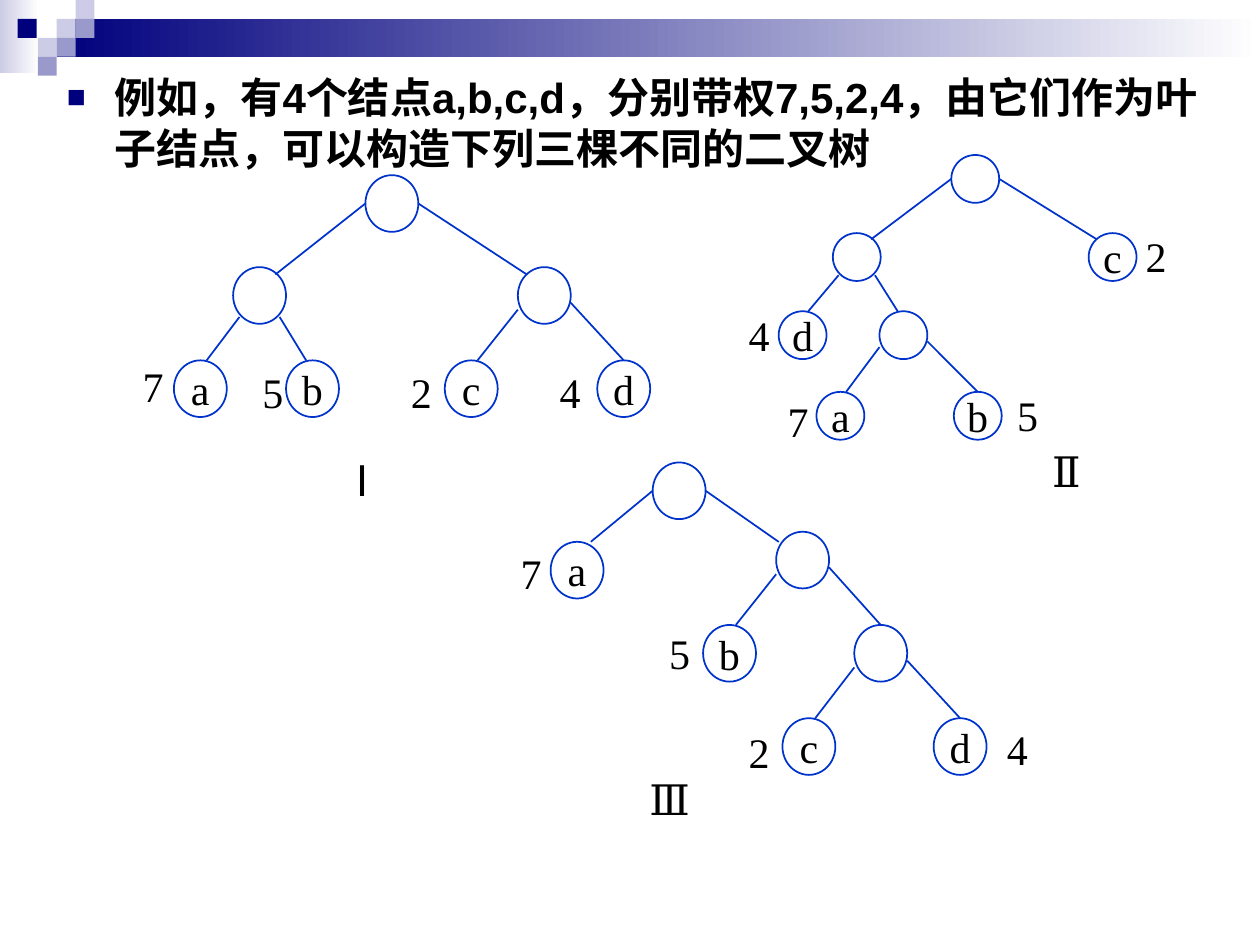
from dataclasses import dataclass

from lxml.etree import SubElement
from pptx import Presentation
from pptx.dml.color import RGBColor
from pptx.enum.shapes import MSO_CONNECTOR, MSO_SHAPE
from pptx.enum.text import MSO_ANCHOR, MSO_AUTO_SIZE, PP_ALIGN
from pptx.oxml.ns import qn
from pptx.util import Inches, Pt


@dataclass(frozen=True)
class Theme:
    navy: str = "00007D"
    violet: str = "9999CC"
    lilac: str = "CCCCE6"
    white: str = "FFFFFF"
    black: str = "000000"
    outline: str = "0033CC"
    serif: str = "Times New Roman"
    sans: str = "Arial"
    chinese: str = "Noto Sans CJK SC"
    size: int = 24
    line_width: int = 1


THEME = Theme()

STATEMENT = "例如，有4个结点a,b,c,d，分别带权7,5,2,4，由它们作为叶子结点，可以构造下列三棵不同的二叉树"

HEADER_BANDS = [
    (0, 0, 0.31, 0.58, THEME.lilac),
    (0.45, 0.15, 9.55, 0.3, THEME.navy),
]
HEADER_SQUARE = 0.15
HEADER_SQUARES = [
    (0.45, 0.15, THEME.lilac),
    (0.6, 0, THEME.lilac),
    (0.6, 0.15, THEME.violet),
    (0.3, 0.3, THEME.lilac),
    (0.14, 0.15, THEME.navy),
    (0.45, 0.3, THEME.violet),
    (0.3, 0.45, THEME.violet),
]

# Each branch style gives start and end as fractions of parent and child circles.
BRANCH_STYLES = {
    "wide": (((0, 0.5), (0.8, 0.13)), ((1, 0.5), (0.17, 0.13))),
    "steep": (((0, 0.5), (0.76, 0)), ((1, 0.5), (0.05, 0.18))),
    "side": (((0, 0.75), (0.62, 0)), ((1, 0.63), (0.5, 0))),
    "under": (((0.12, 0.88), (0.62, 0)), ((0.88, 0.88), (0.38, 0))),
}

TREES = [
    {
        "circle": (0.42, 0.45),
        "inner": {"root": (2.9, 1.39), "left": (1.85, 2.12), "right": (4.11, 2.12)},
        "leaves": {"a": (1.38, 2.86), "b": (2.27, 2.86), "c": (3.53, 2.86), "d": (4.74, 2.86)},
        "branches": [
            ("root", "wide", "left", "right"),
            ("left", "under", "a", "b"),
            ("right", "side", "c", "d"),
        ],
        "weights": [("7", 0.9, 2.81), ("5", 1.85, 2.86), ("2", 3.03, 2.86), ("4", 4.21, 2.86)],
        "numeral": ("Ⅰ", 2.56, 3.56, THEME.chinese),
    },
    {
        "circle": (0.38, 0.38),
        "inner": {"root": (7.55, 1.23), "left": (6.61, 1.85), "middle": (6.98, 2.47)},
        "leaves": {"a": (6.48, 3.11), "b": (7.57, 3.11), "c": (8.64, 1.85), "d": (6.18, 2.47)},
        "branches": [
            ("root", "wide", "left", "c"),
            ("left", "under", "d", "middle"),
            ("middle", "side", "a", "b"),
        ],
        "weights": [("7", 6.02, 3.09), ("5", 7.84, 3.04), ("2", 8.86, 1.78), ("4", 5.71, 2.41)],
        "numeral": ("Ⅱ", 8.15, 3.49, THEME.serif),
    },
    {
        "circle": (0.42, 0.45),
        "inner": {"root": (5.18, 3.67), "right": (6.16, 4.22), "lower": (6.78, 4.96)},
        "leaves": {"a": (4.37, 4.3), "b": (5.58, 4.96), "c": (6.21, 5.7), "d": (7.41, 5.7)},
        "branches": [
            ("root", "steep", "a", "right"),
            ("right", "side", "b", "lower"),
            ("lower", "side", "c", "d"),
        ],
        "weights": [("7", 3.9, 4.3), ("5", 5.08, 4.93), ("2", 5.71, 5.72), ("4", 7.76, 5.69)],
        "numeral": ("Ⅲ", 5, 6.09, THEME.serif),
    },
]


def color(value):
    return RGBColor.from_string(value)


def add_span(paragraph, text, latin, east_asian, bold=False):
    span = paragraph.add_run()
    span.text = text
    span.font.name = latin
    span.font.size = Pt(THEME.size)
    span.font.bold = bold
    span.font.color.rgb = color(THEME.black)
    SubElement(span.font._element, qn("a:ea")).set("typeface", east_asian)


def add_plain_shape(shapes, kind, left, top, width, height):
    shape = shapes.add_shape(kind, Inches(left), Inches(top), Inches(width), Inches(height))
    shape.shadow.inherit = False
    return shape


def add_header(page):
    shapes = page.shapes.add_group_shape().shapes
    for left, top, width, height, start in HEADER_BANDS:
        band = add_plain_shape(shapes, MSO_SHAPE.RECTANGLE, left, top, width, height)
        band.line.fill.background()
        band.fill.gradient()
        band.fill.gradient_angle = 0
        for stop, value in zip(band.fill.gradient_stops, (start, THEME.white)):
            stop.color.rgb = color(value)
    for left, top, value in HEADER_SQUARES:
        square = add_plain_shape(shapes, MSO_SHAPE.RECTANGLE, left, top, HEADER_SQUARE, HEADER_SQUARE)
        square.line.fill.background()
        square.fill.solid()
        square.fill.fore_color.rgb = color(value)


def fill_statement(body):
    body.left, body.top, body.width, body.height = (Inches(n) for n in (0.43, 0.52, 9.33, 1.57))
    frame = body.text_frame
    frame.auto_size = MSO_AUTO_SIZE.NONE
    frame.vertical_anchor = MSO_ANCHOR.TOP
    paragraph = frame.paragraphs[0]
    properties = paragraph._p.get_or_add_pPr()
    properties.set("marL", str(Inches(0.38)))
    properties.set("indent", str(Inches(-0.38)))
    bullet_color = SubElement(properties, qn("a:buClr"))
    SubElement(bullet_color, qn("a:srgbClr")).set("val", THEME.navy)
    SubElement(properties, qn("a:buSzPct")).set("val", "75000")
    SubElement(properties, qn("a:buFont")).set("typeface", THEME.sans)
    SubElement(properties, qn("a:buChar")).set("char", "■")
    paragraph.space_before = Pt(0)
    add_span(paragraph, STATEMENT, THEME.sans, THEME.chinese, bold=True)


def add_node(shapes, position, size, label):
    node = add_plain_shape(shapes, MSO_SHAPE.OVAL, *position, *size)
    node.fill.solid()
    node.fill.fore_color.rgb = color(THEME.white)
    node.line.color.rgb = color(THEME.outline)
    node.line.width = Pt(THEME.line_width)
    if label:
        frame = node.text_frame
        frame.word_wrap = False
        frame.vertical_anchor = MSO_ANCHOR.MIDDLE
        frame.paragraphs[0].alignment = PP_ALIGN.CENTER
        add_span(frame.paragraphs[0], label, THEME.serif, THEME.serif)


def add_branch(shapes, parent, child, size, anchors):
    ends = [
        Inches(origin + length * part)
        for corner, anchor in zip((parent, child), anchors)
        for origin, length, part in zip(corner, size, anchor)
    ]
    branch = shapes.add_connector(MSO_CONNECTOR.STRAIGHT, *ends)
    branch.line.color.rgb = color(THEME.outline)
    branch.line.width = Pt(THEME.line_width)
    SubElement(branch._element.spPr, qn("a:effectLst"))


def add_label(page, text, left, top, font=THEME.serif):
    box = page.shapes.add_textbox(Inches(left), Inches(top), Inches(0.63), Inches(0.5))
    frame = box.text_frame
    frame.word_wrap = True
    frame.auto_size = MSO_AUTO_SIZE.SHAPE_TO_FIT_TEXT
    frame.paragraphs[0].alignment = PP_ALIGN.CENTER
    add_span(frame.paragraphs[0], text, font, font)


def add_tree(page, tree):
    shapes = page.shapes.add_group_shape().shapes
    nodes = {**tree["inner"], **tree["leaves"]}
    for name, position in nodes.items():
        add_node(shapes, position, tree["circle"], name if name in tree["leaves"] else "")
    for parent, style, *children in tree["branches"]:
        for child, anchors in zip(children, BRANCH_STYLES[style]):
            add_branch(shapes, nodes[parent], nodes[child], tree["circle"], anchors)
    for label in [*tree["weights"], tree["numeral"]]:
        add_label(page, *label)


def main():
    deck = Presentation()
    deck.slide_width, deck.slide_height = Inches(10), Inches(7.5)
    page = deck.slides.add_slide(deck.slide_layouts[1])
    title = page.shapes.title._element
    title.getparent().remove(title)
    add_header(page)
    fill_statement(page.placeholders[1])
    for tree in TREES:
        add_tree(page, tree)
    deck.save("out.pptx")


if __name__ == "__main__":
    main()
